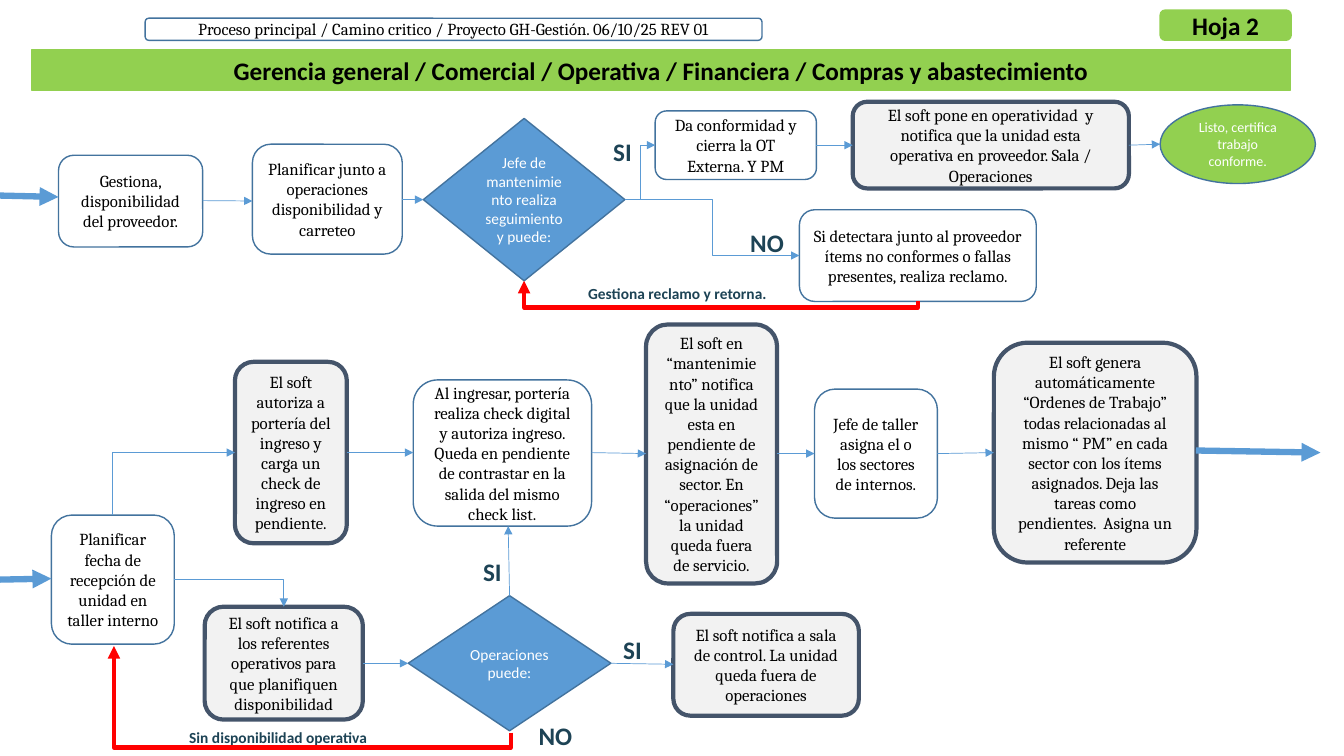
from lxml.etree import SubElement
from pptx import Presentation
from pptx.dml.color import RGBColor
from pptx.enum.shapes import MSO_CONNECTOR, MSO_SHAPE
from pptx.enum.text import MSO_ANCHOR, MSO_AUTO_SIZE, PP_ALIGN
from pptx.oxml.ns import qn
from pptx.util import Pt

BLACK = RGBColor(0x00, 0x00, 0x00)
WHITE = RGBColor(0xFF, 0xFF, 0xFF)
GREEN = RGBColor(0x92, 0xD0, 0x50)
BLUE = RGBColor(0x5B, 0x9B, 0xD5)
OUTLINE = RGBColor(0x43, 0x73, 0x9E)
GREY = RGBColor(0xF2, 0xF2, 0xF2)
SLATE = RGBColor(0x44, 0x54, 0x6A)
TEAL = RGBColor(0x1D, 0x43, 0x55)
RED = RGBColor(0xFF, 0x00, 0x00)


def write(shape, text, size, color, font="Calibri", bold=False):
    frame = shape.text_frame
    frame.text = text
    frame.word_wrap = True
    paragraph = frame.paragraphs[0]
    paragraph.alignment = PP_ALIGN.CENTER
    run_font = paragraph.runs[0].font
    run_font.name, run_font.size, run_font.bold = font, Pt(size), bold
    run_font.color.rgb = color


def paint(shape, fill, line, width=1):
    if fill is None:
        shape.fill.background()
    else:
        shape.fill.solid()
        shape.fill.fore_color.rgb = fill
    shape.line.color.rgb = line
    shape.line.width = Pt(width)
    shape.text_frame.vertical_anchor = MSO_ANCHOR.MIDDLE


def add_shape(slide, kind, box, fill, line, width=1):
    shape = slide.shapes.add_shape(kind, *map(Pt, box))
    shape.shadow.inherit = False
    paint(shape, fill, line, width)
    return shape


def add_title(slide, text, box):
    title = slide.shapes.title
    title.left, title.top, title.width, title.height = map(Pt, box)
    geometry = SubElement(title._element.spPr, qn("a:prstGeom"), prst="roundRect")
    SubElement(geometry, qn("a:avLst"))
    paint(title, GREEN, GREEN)
    write(title, text, 18, BLACK, bold=True)


def add_step(slide, text, *box):
    write(add_shape(slide, MSO_SHAPE.ROUNDED_RECTANGLE, box, None, OUTLINE), text, 12, BLACK, "Cambria")


def add_software_step(slide, text, *box):
    write(add_shape(slide, MSO_SHAPE.ROUNDED_RECTANGLE, box, GREY, SLATE, 3), text, 12, BLACK, "Cambria")


def add_decision(slide, text, *box):
    write(add_shape(slide, MSO_SHAPE.DIAMOND, box, BLUE, OUTLINE), text, 11, WHITE)


def add_label(slide, text, size, *box):
    label = slide.shapes.add_textbox(*map(Pt, box))
    write(label, text, size, TEAL, bold=True)
    label.text_frame.auto_size = MSO_AUTO_SIZE.SHAPE_TO_FIT_TEXT


def add_arrow(slide, start, end, color=BLUE, width=0.5, kind=MSO_CONNECTOR.STRAIGHT):
    connector = slide.shapes.add_connector(kind, *map(Pt, start + end))
    connector.line.color.rgb = color
    connector.line.width = Pt(width)
    SubElement(connector.line._get_or_add_ln(), qn("a:tailEnd"), type="triangle")
    SubElement(connector._element.spPr, qn("a:effectLst"))
    return connector


def add_elbow(slide, start, end, bend=None, vertical=False, color=BLUE, width=0.5):
    """Bend is the share of the way to the turn; without it there is a single corner."""
    connector = add_arrow(slide, start, end, color, width, MSO_CONNECTOR.ELBOW)
    properties = connector._element.spPr
    geometry = properties.find(qn("a:prstGeom"))
    if bend is None:
        geometry.set("prst", "bentConnector2")
    else:
        SubElement(geometry.find(qn("a:avLst")), qn("a:gd"),
                   name="adj1", fmla=f"val {round(bend * 100000)}")
    if vertical:
        # Turn the frame a quarter about its centre so the first leg is upright
        across, down = end[0] - start[0], end[1] - start[1]
        connector.left = Pt((start[0] + end[0] - abs(down)) / 2)
        connector.top = Pt((start[1] + end[1] - abs(across)) / 2)
        connector.width, connector.height = Pt(abs(down)), Pt(abs(across))
        transform = properties.find(qn("a:xfrm"))
        transform.set("rot", "5400000")
        transform.set("flipH", str(int(down < 0)))
        transform.set("flipV", str(int(across > 0)))


def main():
    presentation = Presentation()
    presentation.slide_width, presentation.slide_height = Pt(960), Pt(540)
    slide = presentation.slides.add_slide(presentation.slide_layouts[5])

    # Heading
    add_title(slide, "Gerencia general / Comercial / Operativa / Financiera / Compras y abastecimiento",
              (23, 35.3, 898.6, 29.5))
    add_step(slide, "Proceso principal / Camino critico / Proyecto GH-Gestión. 06/10/25 REV 01",
             103.7, 13, 440.6, 15.8)
    sheet = add_shape(slide, MSO_SHAPE.ROUNDED_RECTANGLE, (828.7, 7.2, 93.6, 21.6), GREEN, GREEN)
    write(sheet, "Hoja 2", 18, BLACK, bold=True)

    # External supplier flow
    add_step(slide, "Gestiona, disponibilidad del proveedor.", 41.8, 110.9, 103, 65.5)
    add_step(slide, "Planificar junto a operaciones disponibilidad y carreteo", 180.3, 103, 107, 78.5)
    add_decision(slide, "Jefe de mantenimiento realiza seguimiento y puede:", 302.4, 84.6, 144, 116)
    add_step(slide, "Da conformidad y cierra la OT Externa. Y PM", 468, 79.2, 115.2, 49)
    add_software_step(slide, "El soft pone en operatividad  y notifica que la unidad esta operativa en "
                      "proveedor. Sala / Operaciones", 609.1, 72.7, 197.3, 61.9)
    finish = add_shape(slide, MSO_SHAPE.OVAL, (828.7, 74.9, 110.9, 56.2), GREEN, OUTLINE)
    write(finish, "Listo, certifica trabajo conforme.", 10, WHITE)
    add_step(slide, "Si detectara junto al proveedor ítems no conformes o fallas presentes, "
             "realiza reclamo.", 571, 149.8, 169.2, 65.5)

    # Internal workshop flow
    add_step(slide, "Planificar fecha de recepción de unidad en taller interno", 36.7, 367.9, 87.8, 92.2)
    add_software_step(slide, "El soft autoriza a portería del ingreso y carga un check de ingreso en "
                      "pendiente.", 167.8, 258.5, 79.9, 129.6)
    add_step(slide, "Al ingresar, portería realiza check digital y autoriza ingreso. Queda en pendiente "
             "de contrastar en la salida del mismo check list.", 295.2, 271.4, 127.4, 104.4)
    add_software_step(slide, "El soft en “mantenimiento” notifica que la unidad esta en pendiente de "
                      "asignación de sector. En “operaciones” la unidad queda fuera de servicio.",
                      461.5, 231.8, 93.6, 185)
    add_step(slide, "Jefe de taller asigna el o los sectores de internos.", 581.8, 277.9, 87.8, 92.2)
    add_software_step(slide, "El soft genera automáticamente “Ordenes de Trabajo” todas relacionadas al "
                      "mismo “ PM” en cada sector con los ítems asignados. Deja las tareas como "
                      "pendientes.  Asigna un referente", 709.9, 244.8, 144.7, 157)
    add_software_step(slide, "El soft notifica a los referentes operativos para que planifiquen "
                      "disponibilidad", 146.2, 433.4, 113, 80.6)
    add_decision(slide, "Operaciones puede:", 291.6, 425.5, 144.7, 96.5)
    add_software_step(slide, "El soft notifica a sala de control. La unidad queda fuera de operaciones",
                      481, 438.5, 132.5, 72.7)

    # Branch labels
    for left, top in ((425.5, 93.6), (332.6, 393.8), (432.7, 449.3)):
        add_label(slide, "SI", 18, left, top, 38.2, 28.8)
    for left, top in ((524.9, 159.1), (373.7, 511.2)):
        add_label(slide, "NO", 18, left, top, 46, 28.8)
    add_label(slide, "Gestiona reclamo y retorna.", 11, 401.8, 199.4, 164.2, 20.9)
    add_label(slide, "Sin disponibilidad operativa", 11, 28.1, 516.2, 341.3, 20.9)

    # Arrows from and to the neighbouring sheets
    for start, end in (((0, 139.7), (41.8, 140.7)), ((0, 414), (36.7, 413.3)),
                       ((854.3, 321.8), (943.2, 323.3))):
        add_arrow(slide, start, end, width=4.5)

    # Straight arrows between steps
    for start, end in (
        ((144.8, 143.3), (180.3, 143.6)), ((287.3, 142.6), (302.4, 142.6)),
        ((583.2, 103.7), (609.1, 103.7)), ((806.4, 103.7), (828.7, 103)),
        ((247.7, 323.3), (295.2, 323.3)), ((422.6, 323.3), (461.5, 324)),
        ((555.1, 324), (581.8, 324)), ((669.6, 324), (709.9, 323.3)),
        ((259.2, 473.8), (291.6, 473.8)), ((436.3, 473.8), (481, 474.5)),
        ((364, 425.5), (363, 375.8)),
    ):
        add_arrow(slide, start, end)

    # Elbow arrows
    add_elbow(slide, (446.4, 142.6), (468, 103.7), bend=0.5)
    add_elbow(slide, (446.4, 142.6), (571, 182.5), bend=0.5)
    add_elbow(slide, (80.6, 367.9), (167.8, 323.3), vertical=True)
    add_elbow(slide, (124.5, 414), (202.7, 433.4))

    # Return paths
    add_elbow(slide, (655.6, 215.3), (374.4, 200.6), -0.3, True, RED, 3)
    add_elbow(slide, (365, 523.4), (81.4, 461.5), -0.17, True, RED, 3)

    presentation.save("out.pptx")


if __name__ == "__main__":
    main()
